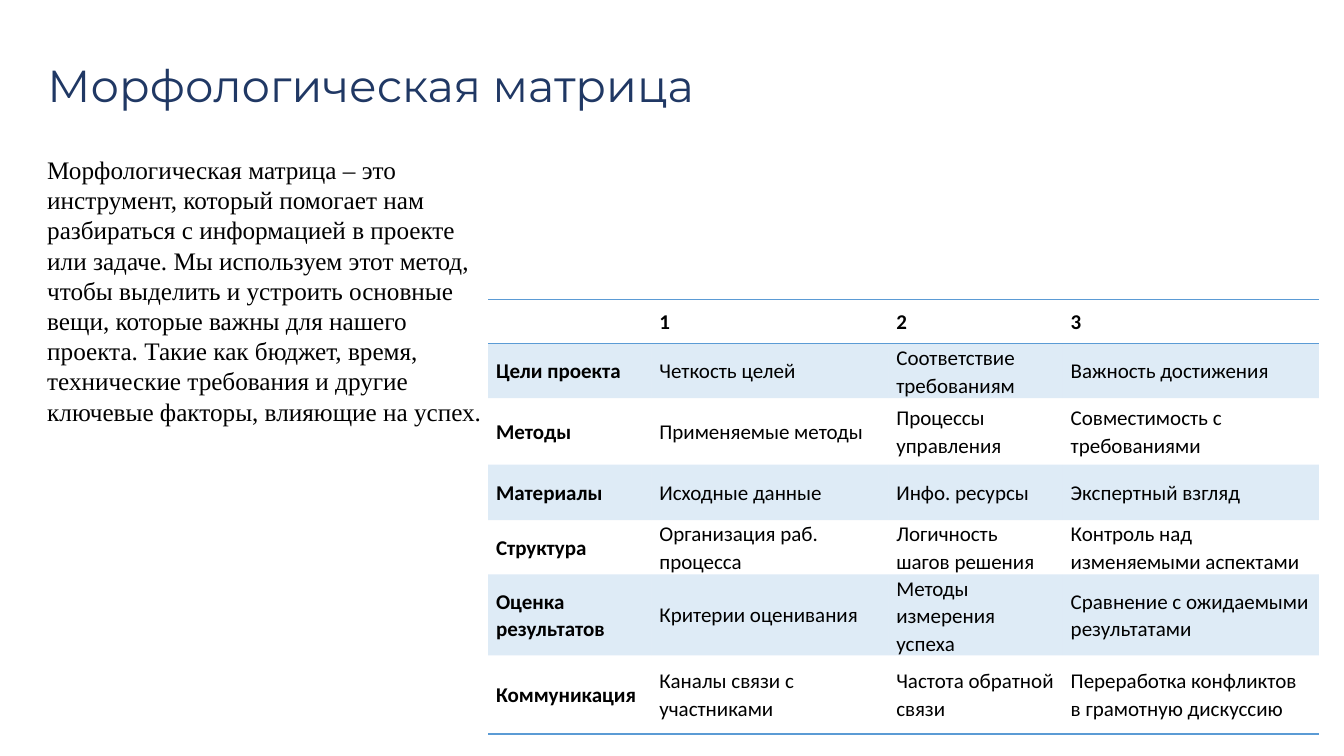
import pptx
import pptx.dml.color
import pptx.enum.text
import pptx.oxml
import pptx.oxml.ns
import pptx.util

RGB = pptx.dml.color.RGBColor
NAVY = RGB(0x20, 0x38, 0x64)
BLACK = RGB(0, 0, 0)
BLUE = RGB(0x5B, 0x9B, 0xD5)

SCALE = 9144  # EMU per px, 100 px to the inch
NO_GRID = "{2D5ABB26-0587-4C30-8999-92F81FD0307C}"

TITLE = "Морфологическая матрица"
INTRO = (
    "Морфологическая матрица – это инструмент, который помогает нам "
    "разбираться с информацией в проекте или задаче. Мы используем этот "
    "метод, чтобы выделить и устроить основные вещи, которые важны для "
    "нашего проекта. Такие как бюджет, время, технические требования и "
    "другие ключевые факторы, влияющие на успех."
)
MATRIX = [
    ("", "1", "2", "3"),
    ("Цели проекта", "Четкость целей", "Соответствие требованиям",
     "Важность достижения"),
    ("Методы", "Применяемые методы", "Процессы управления",
     "Совместимость с требованиями"),
    ("Материалы", "Исходные данные", "Инфо. ресурсы", "Экспертный взгляд"),
    ("Структура", "Организация раб. процесса", "Логичность шагов решения",
     "Контроль над изменяемыми аспектами"),
    ("Оценка результатов", "Критерии оценивания", "Методы измерения успеха",
     "Сравнение с ожидаемыми результатами"),
    ("Коммуникация", "Каналы связи с участниками", "Частота обратной связи",
     "Переработка конфликтов в грамотную дискуссию"),
]
WIDTHS = [162, 235, 173, 254]
HEIGHTS = [44, 54, 66, 55, 54, 78, 78]


def px(num):
    return pptx.util.Emu(num * SCALE)


class Deck:
    def __init__(self, width, height):
        self.prs = pptx.Presentation()
        self.prs.slide_width = px(width)
        self.prs.slide_height = px(height)
        self.slide = self.prs.slides.add_slide(self.prs.slide_layouts[5])

    def run(self, para, text, face, size, color=BLACK, bold=False):
        run = para.add_run()
        run.text = text
        font = run.font
        font.name, font.size, font.bold = face, pptx.util.Pt(size), bold
        font.color.rgb = color

    def title(self, box, text):
        shape = self.slide.shapes.title
        shape.left, shape.top, shape.width, shape.height = map(px, box)
        frame = shape.text_frame
        frame.auto_size = pptx.enum.text.MSO_AUTO_SIZE.NONE
        frame.vertical_anchor = pptx.enum.text.MSO_ANCHOR.MIDDLE
        para = frame.paragraphs[0]
        para.alignment = pptx.enum.text.PP_ALIGN.LEFT
        para.line_spacing = 0.9
        self.run(para, text, "Montserrat", 32, NAVY)

    def text(self, box, text):
        frame = self.slide.shapes.add_textbox(*map(px, box)).text_frame
        frame.word_wrap = True
        frame.auto_size = pptx.enum.text.MSO_AUTO_SIZE.SHAPE_TO_FIT_TEXT
        self.run(frame.paragraphs[0], text, "Times New Roman", 18)

    def edge(self, cell, side):
        """Draw a blue border on one side, T or B, of a cell."""
        cell._tc.get_or_add_tcPr().append(pptx.oxml.parse_xml(
            f'<a:ln{side} {pptx.oxml.ns.nsdecls("a")} w="12700"><a:solidFill>'
            f'<a:srgbClr val="{BLUE}"/></a:solidFill></a:ln{side}>'))

    def tint(self, cell):
        """Fill a cell with blue at 20 % opacity."""
        cell.fill.solid()
        cell.fill.fore_color.rgb = BLUE
        color = cell._tc.tcPr.find(".//" + pptx.oxml.ns.qn("a:solidFill")
                                   + "[last()]/" + pptx.oxml.ns.qn("a:srgbClr"))
        color.append(pptx.oxml.parse_xml(
            f'<a:alpha {pptx.oxml.ns.nsdecls("a")} val="20000"/>'))

    def cell(self, cell, text, bold):
        cell.margin_left = cell.margin_right = px(8)
        cell.margin_top = cell.margin_bottom = 0
        cell.vertical_anchor = pptx.enum.text.MSO_ANCHOR.MIDDLE
        if text:
            para = cell.text_frame.paragraphs[0]
            para.line_spacing = 1.07
            para.space_after = pptx.util.Pt(8)
            self.run(para, text, "Calibri", 15, bold=bold)

    def table(self, left, top, widths, heights, data):
        box = (left, top, sum(widths), sum(heights))
        table = self.slide.shapes.add_table(
            len(heights), len(widths), *map(px, box)).table
        style = pptx.oxml.ns.qn("a:tableStyleId")
        table._tbl.tblPr.find(style).text = NO_GRID
        table.horz_banding = False
        for col, width in zip(table.columns, widths):
            col.width = px(width)
        for r, (row, height) in enumerate(zip(table.rows, heights)):
            row.height = px(height)
            for c, cell in enumerate(row.cells):
                self.cell(cell, data[r][c], r == 0 or c == 0)
                if r == 0:
                    self.edge(cell, "T")
                if r in (0, len(heights) - 1):
                    self.edge(cell, "B")
                if r % 2:
                    self.tint(cell)
                else:
                    cell.fill.background()


def main():
    deck = Deck(1333, 750)
    deck.title((37, 15, 1150, 145), TITLE)
    deck.text((37, 148, 465, 283), INTRO)
    deck.table(484, 297, WIDTHS, HEIGHTS, MATRIX)
    deck.prs.save("out.pptx")


if __name__ == "__main__":
    main()
